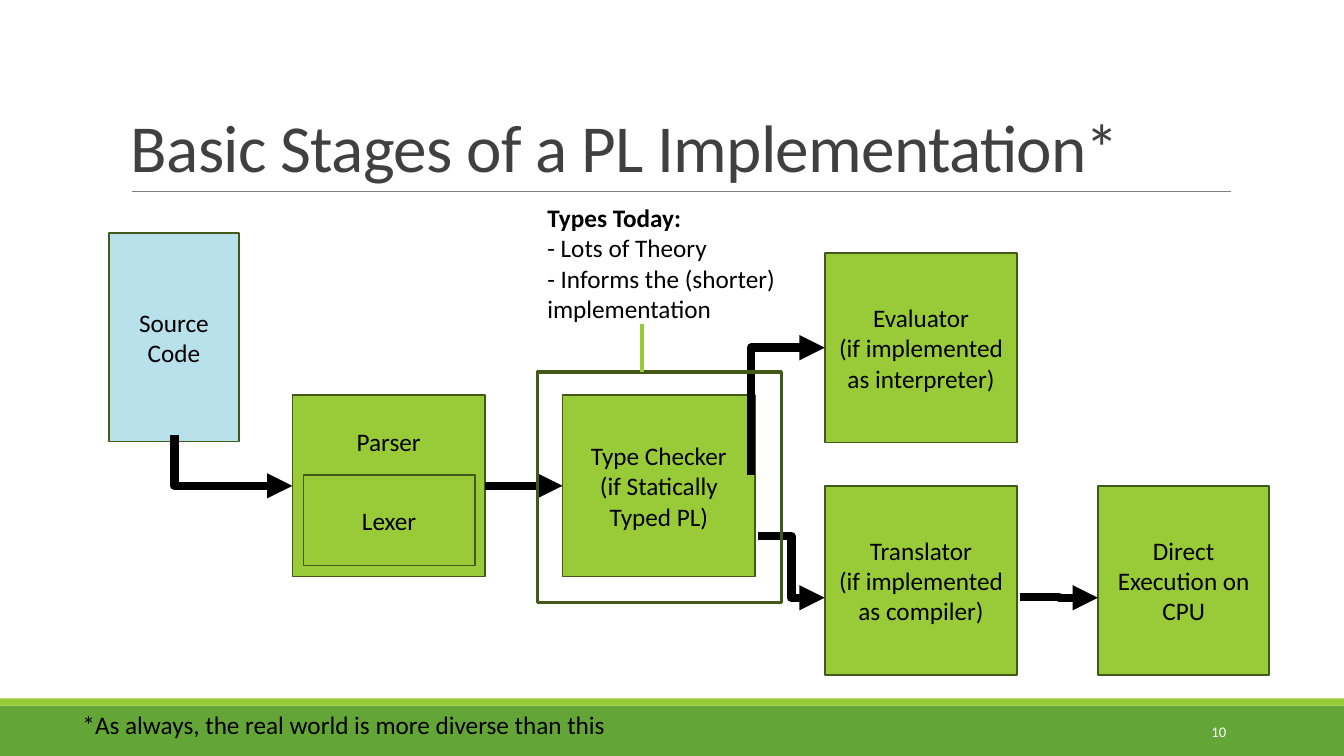
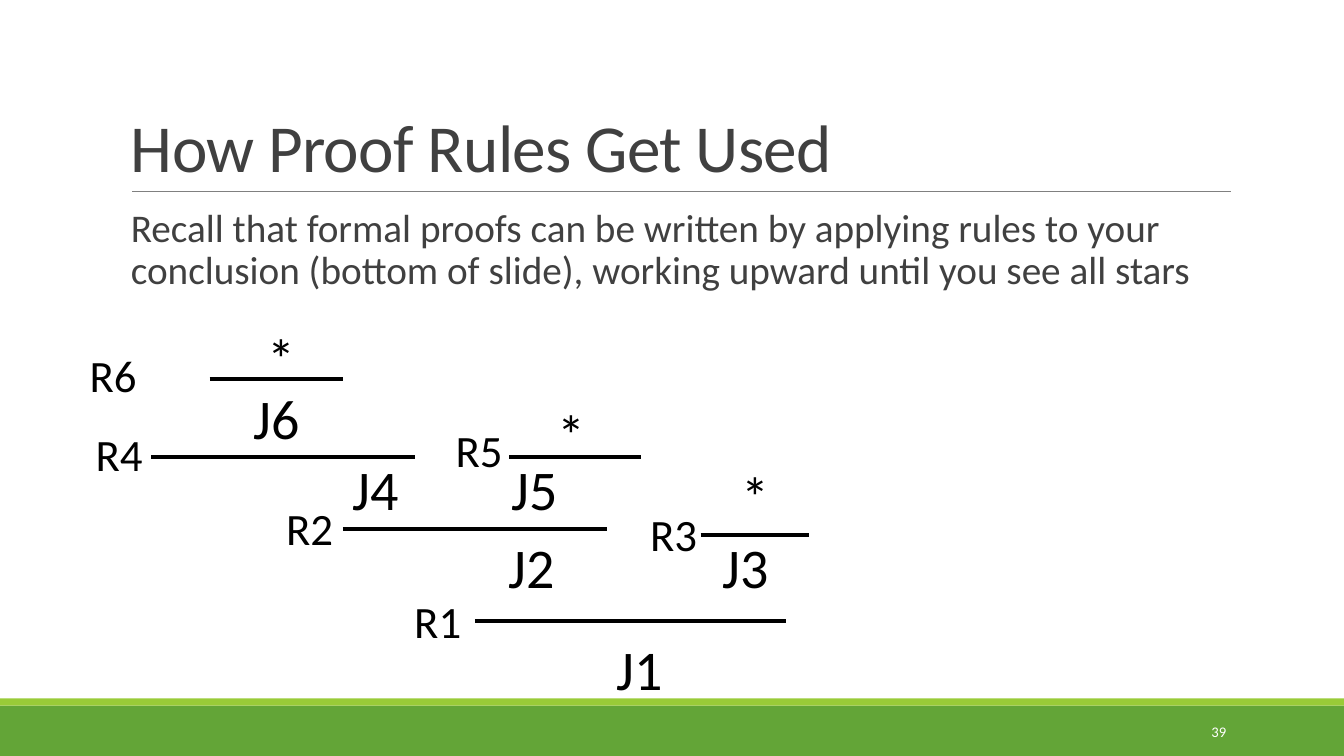
from dataclasses import dataclass
from typing import Optional

from lxml import etree
from pptx import Presentation
from pptx.dml.color import RGBColor
from pptx.enum import shapes, text
from pptx.oxml.ns import qn
from pptx.util import Inches, Pt

FONT = "Calibri"
BLACK = RGBColor(0x00, 0x00, 0x00)
WHITE = RGBColor(0xFF, 0xFF, 0xFF)
INK = RGBColor(0x40, 0x40, 0x40)
RULE_GREY = RGBColor(0x80, 0x80, 0x80)
GREEN = RGBColor(0x63, 0xA5, 0x37)
LIME = RGBColor(0x99, 0xCB, 0x38)
OLIVE = RGBColor(0x43, 0x59, 0x19)
PALE_BLUE = RGBColor(0xB8, 0xE1, 0xEC)

WIDTH, HEIGHT = 13.33, 7.5
BAND_TOP, STRIPE_TOP = 7.0, 6.93
STAGE_W, STAGE_H, OUTPUT_H = 1.91, 1.8, 1.88

Point = tuple[float, float]
Box = tuple[float, float, float, float]


@dataclass(frozen=True)
class Stage:
    label: str
    at: Box
    fill: RGBColor = LIME
    top_inset: Optional[float] = None


@dataclass(frozen=True)
class ProofStep:
    """One inference: its name, its bar, what it concludes, and a star if it is an axiom."""
    number: int
    name_at: Point
    bar: tuple[float, float, float]
    judgement_at: Point
    star_at: Optional[Point] = None


SOURCE = Stage("Source\nCode", (1.08, 2.31, 1.29, 2.07), PALE_BLUE)
PARSER = Stage("Parser", (2.9, 3.92, STAGE_W, STAGE_H), top_inset=0.31)
LEXER = Stage("Lexer", (3.01, 4.71, 1.7, 0.9))
CHECKER = Stage("Type Checker\n(if Statically Typed PL)", (5.58, 3.92, STAGE_W, STAGE_H))
EVALUATOR = Stage("Evaluator\n(if implemented as interpreter)", (8.18, 2.51, STAGE_W, OUTPUT_H))
TRANSLATOR = Stage("Translator\n(if implemented as compiler)", (8.18, 4.82, STAGE_W, OUTPUT_H))
CPU = Stage("Direct Execution on CPU", (10.89, 4.82, 1.7, OUTPUT_H))
STAGES = (PARSER, CHECKER, EVALUATOR, TRANSLATOR, CPU, SOURCE, LEXER)

PROOF = (
    ProofStep(1, (4.01, 5.84), (4.71, 7.8, 6.16), (6.02, 6.25)),
    ProofStep(2, (2.74, 4.92), (3.4, 6.02, 5.25), (4.95, 5.23)),
    ProofStep(3, (6.35, 4.98), (6.95, 8.02, 5.31), (7.07, 5.23), (7.26, 4.53)),
    ProofStep(4, (0.85, 4.18), (1.5, 4.12, 4.53), (3.4, 4.46)),
    ProofStep(5, (4.42, 4.14), (5.05, 6.36, 4.53), (4.98, 4.46), (5.43, 3.91)),
    ProofStep(6, (0.79, 3.4), (2.08, 3.4, 3.76), (2.42, 3.76), (2.56, 3.16)),
)


def add_words(p, words: str, size: float, color: RGBColor = BLACK, bold: bool = False) -> None:
    """Add one run per line, with line breaks between them."""
    for i, line in enumerate(words.split("\n")):
        if i:
            p.add_line_break()
        r = p.add_run()
        r.text = line
        r.font.name, r.font.size = FONT, Pt(size)
        r.font.color.rgb, r.font.bold = color, bold


def add_text(slide, at: Box, words: str, size: float, color: RGBColor = BLACK,
             bold: bool = False, wrap: bool = True):
    tf = slide.shapes.add_textbox(*map(Inches, at)).text_frame
    tf.word_wrap = wrap
    add_words(tf.paragraphs[0], words, size, color, bold)
    return tf


def add_rect(slide, at: Box, fill: Optional[RGBColor] = None,
             line: Optional[RGBColor] = None, weight: float = 1.25):
    sp = slide.shapes.add_shape(shapes.MSO_SHAPE.RECTANGLE, *map(Inches, at))
    sp.shadow.inherit = False
    if fill is None:
        sp.fill.background()
    else:
        sp.fill.solid()
        sp.fill.fore_color.rgb = fill
    if line is None:
        sp.line.fill.background()
    else:
        sp.line.color.rgb, sp.line.width = line, Pt(weight)
    return sp


def add_line(slide, start: Point, end: Point, color: RGBColor = BLACK, weight: float = 3,
             kind=shapes.MSO_CONNECTOR.STRAIGHT):
    line = slide.shapes.add_connector(kind, *map(Inches, start + end))
    line.line.color.rgb, line.line.width = color, Pt(weight)
    etree.SubElement(line._element.spPr, qn("a:effectLst"))
    return line


def add_elbow_arrow(slide, start: Point, end: Point):
    arrow = add_line(slide, start, end, weight=6, kind=shapes.MSO_CONNECTOR.ELBOW)
    etree.SubElement(arrow.line._get_or_add_ln(), qn("a:tailEnd"), type="triangle")
    return arrow


def add_corner_arrow(slide, start: Point, end: Point) -> None:
    """Draw an arrow that leaves vertically and turns once to the right."""
    (x1, y1), (x2, y2) = start, end
    mid_x, mid_y = (x1 + x2) / 2, (y1 + y2) / 2
    half_w, half_h = abs(y2 - y1) / 2, (x2 - x1) / 2
    down = y2 > y1
    side = half_h if down else -half_h
    # The one-bend preset starts horizontally, so it is mirrored and turned a quarter.
    arrow = add_elbow_arrow(slide, (mid_x + half_w, mid_y - side),
                            (mid_x - half_w, mid_y + side))
    sp_pr = arrow._element.spPr
    sp_pr.find(qn("a:xfrm")).set("rot", str((270 if down else 90) * 60000))
    sp_pr.find(qn("a:prstGeom")).set("prst", "bentConnector2")


def add_stage(slide, stage: Stage):
    sp = add_rect(slide, stage.at, stage.fill, OLIVE)
    tf = sp.text_frame
    tf.word_wrap = True
    tf.vertical_anchor = text.MSO_ANCHOR.MIDDLE
    if stage.top_inset is not None:
        tf.vertical_anchor = text.MSO_ANCHOR.TOP
        tf.margin_top = Inches(stage.top_inset)
    p = tf.paragraphs[0]
    p.alignment = text.PP_ALIGN.CENTER
    add_words(p, stage.label, 18)
    return sp


def add_base(prs, title: str, number: int):
    """Start a slide with its bands, title, rule and page number."""
    slide = prs.slides.add_slide(prs.slide_layouts[6])
    add_rect(slide, (0, BAND_TOP, WIDTH, HEIGHT - BAND_TOP), GREEN)
    add_rect(slide, (0, STRIPE_TOP, WIDTH, BAND_TOP - STRIPE_TOP), LIME)
    add_line(slide, (1.31, 1.9), (12.21, 1.9), RULE_GREY, 0.5)

    tf = add_text(slide, (1.2, 0.31, 11, 1.59), title, 48, INK)
    tf.vertical_anchor = text.MSO_ANCHOR.BOTTOM
    p = tf.paragraphs[0]
    p.line_spacing = 0.85
    p.runs[0]._r.get_or_add_rPr().set("spc", "-50")

    tf = add_text(slide, (10.83, 7.06, 1.43, 0.4), str(number), 10.5, WHITE)
    tf.vertical_anchor = text.MSO_ANCHOR.MIDDLE
    tf.paragraphs[0].alignment = text.PP_ALIGN.RIGHT
    return slide


def build_stages_slide(prs) -> None:
    slide = add_base(prs, "Basic Stages of a PL Implementation*", 10)
    drawn = {stage: add_stage(slide, stage) for stage in STAGES}

    add_corner_arrow(slide, (1.73, 4.32), (2.9, 4.82))
    parsed = add_elbow_arrow(slide, (4.81, 4.82), (5.58, 4.82))
    parsed.begin_connect(drawn[PARSER], 3)
    parsed.end_connect(drawn[CHECKER], 1)
    add_corner_arrow(slide, (7.45, 4.71), (8.18, 3.45))
    add_elbow_arrow(slide, (7.52, 5.32), (8.18, 5.93))
    add_elbow_arrow(slide, (10.12, 5.92), (10.89, 5.93))

    add_text(slide, (0.72, 6.99, 5.57, 0.4),
             "*As always, the real world is more diverse than this", 18, wrap=False)
    add_rect(slide, (5.33, 3.69, 2.42, 2.29), line=OLIVE, weight=2.25)
    tf = add_text(slide, (5.33, 1.96, 2.56, 1.62), "Types Today:", 18, bold=True)
    for point in ("- Lots of Theory", "- Informs the (shorter) implementation"):
        add_words(tf.add_paragraph(), point, 18)
    add_line(slide, (6.37, 3.21), (6.37, 3.69), LIME)


def build_proof_slide(prs) -> None:
    slide = add_base(prs, "How Proof Rules Get Used", 39)
    tf = add_text(slide, (1.2, 2.02, 11, 1.16),
                  "Recall that formal proofs can be written by applying rules to your "
                  "conclusion (bottom of slide), working upward until you see all stars",
                  28, INK)
    tf.margin_right = 0
    p = tf.paragraphs[0]
    p.line_spacing, p.space_before, p.space_after = 0.9, Pt(12), Pt(2)

    for step in PROOF:
        left, right, y = step.bar
        add_line(slide, (left, y), (right, y))
        add_text(slide, (*step.name_at, 0.81, 0.64), f"R{step.number}", 32)
        add_text(slide, (*step.judgement_at, 0.73, 0.77), f"J{step.number}", 40)
        if step.star_at:
            add_text(slide, (*step.star_at, 0.73, 0.77), "*", 40)


def main() -> None:
    prs = Presentation()
    prs.slide_width, prs.slide_height = Inches(WIDTH), Inches(HEIGHT)
    build_stages_slide(prs)
    build_proof_slide(prs)
    prs.save("out.pptx")


if __name__ == "__main__":
    main()
